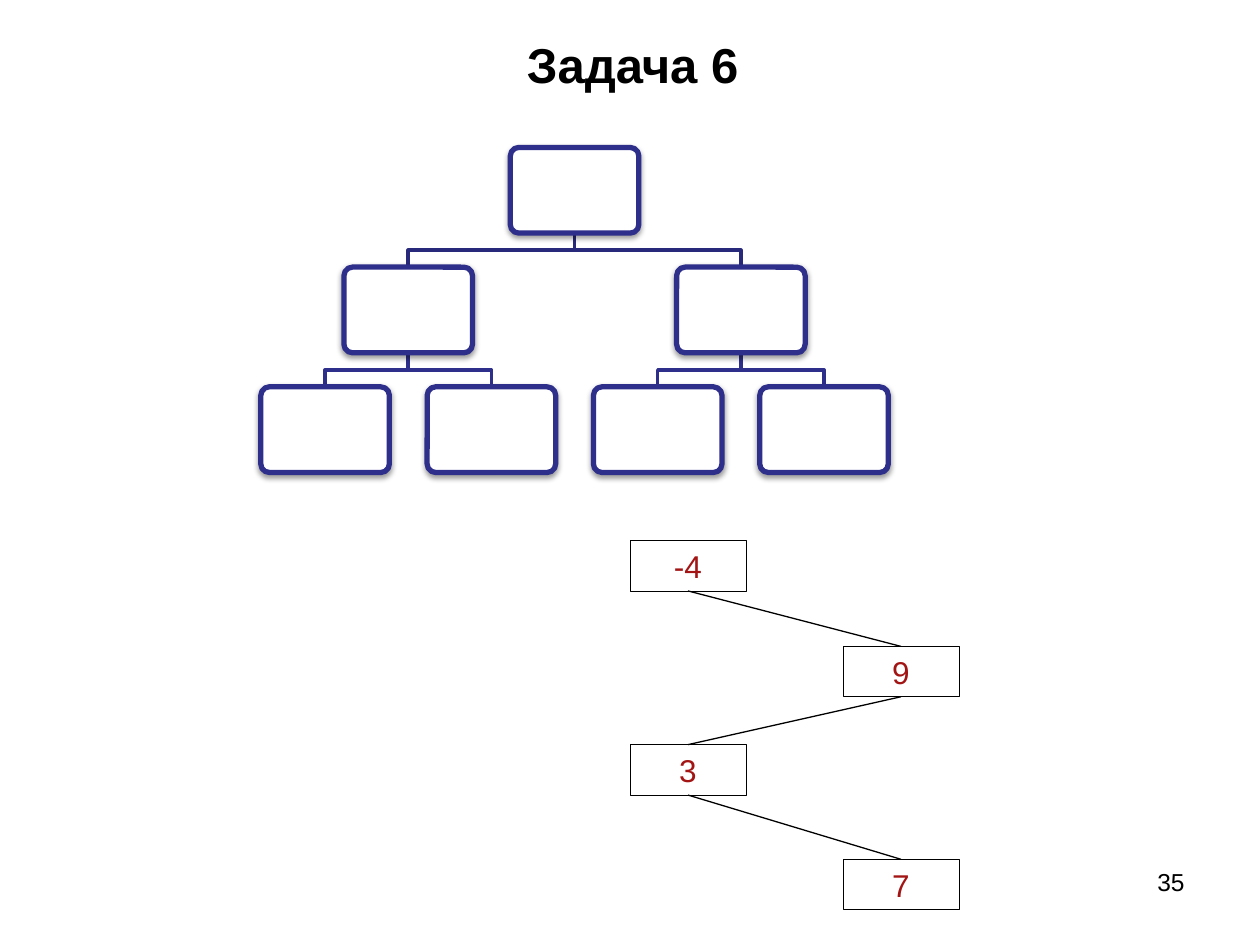
"""Build a task slide with an empty binary tree and a chain of numbers."""
import pptx
import pptx.dml.color
import pptx.enum.shapes
import pptx.enum.text
import pptx.util
from lxml import etree
from pptx.oxml.ns import qn

Inches, Pt = pptx.util.Inches, pptx.util.Pt
SHAPES = pptx.enum.shapes.MSO_SHAPE
ALIGN = pptx.enum.text.PP_ALIGN

TITLE = "Задача 6"
PAGE_NUMBER = "35"
CHAIN = [("-4", 5, 4.29), ("9", 6.69, 5.13), ("3", 5, 5.91), ("7", 6.69, 6.82)]
CHAIN_SIZE = (0.92, 0.4)

LEAVES, LEAF_LEFT, LEAF_STEP = 4, 2.07, 1.32
NODE_WIDTH, NODE_HEIGHT = 1.02, 0.68
TREE_TOP, LEVEL_STEP = 1.17, 0.95
NODE_LINE = "2E2E8B"
BRANCH_LINES = ["29297B", "2E2E8B"]


def color(value):
    return pptx.dml.color.RGBColor.from_string(value)


def set_line(shape, value, width):
    shape.line.color.rgb = color(value)
    shape.line.width = Pt(width)


def write(frame, text, size, value="000000", align=ALIGN.CENTER, bold=False):
    frame.word_wrap = True
    frame.text = text
    para = frame.paragraphs[0]
    para.alignment = align
    para.font.name = "Arial"
    para.font.size = Pt(size)
    para.font.bold = bold
    para.font.color.rgb = color(value)


def add_shadow(shape):
    effects = etree.SubElement(shape._element.spPr, qn("a:effectLst"))
    shadow = etree.SubElement(effects, qn("a:outerShdw"), blurRad=str(Pt(3.1)),
                              dist=str(Pt(1.6)), dir="5400000", rotWithShape="0")
    black = etree.SubElement(shadow, qn("a:srgbClr"), val="000000")
    etree.SubElement(black, qn("a:alpha"), val="38000")


def add_branch(page, parent, child, top, value):
    middle, bottom = top + (LEVEL_STEP - NODE_HEIGHT) / 2, top + LEVEL_STEP - NODE_HEIGHT
    points = [(parent, middle), (child, middle), (child, bottom)]
    builder = page.shapes.build_freeform(Inches(parent), Inches(top))
    builder.add_line_segments([(Inches(x), Inches(y)) for x, y in points], close=False)
    branch = builder.convert_to_shape()
    branch.fill.background()
    branch.shadow.inherit = False
    set_line(branch, value, 2)


def add_node(page, center, top):
    node = page.shapes.add_shape(SHAPES.ROUNDED_RECTANGLE, Inches(center - NODE_WIDTH / 2),
                                 Inches(top), Inches(NODE_WIDTH), Inches(NODE_HEIGHT))
    node.adjustments[0] = 0.1
    node.fill.solid()
    node.fill.fore_color.rgb = color("FFFFFF")
    set_line(node, NODE_LINE, 3)
    add_shadow(node)


def add_tree(page):
    levels = [[LEAF_LEFT + NODE_WIDTH / 2 + LEAF_STEP * i for i in range(LEAVES)]]
    while len(levels[0]) > 1:
        below = levels[0]
        levels.insert(0, [(a + b) / 2 for a, b in zip(below[::2], below[1::2])])
    tops = [TREE_TOP + LEVEL_STEP * depth for depth in range(len(levels))]
    for depth, value in enumerate(BRANCH_LINES):
        for i, child in enumerate(levels[depth + 1]):
            add_branch(page, levels[depth][i // 2], child, tops[depth] + NODE_HEIGHT, value)
    for centers, top in zip(levels, tops):
        for center in centers:
            add_node(page, center, top)


def add_chain(page):
    boxes = []
    for text, left, top in CHAIN:
        box = page.shapes.add_shape(SHAPES.RECTANGLE, Inches(left), Inches(top),
                                    *map(Inches, CHAIN_SIZE))
        box.fill.background()
        box.shadow.inherit = False
        set_line(box, "000000", 0.25)
        write(box.text_frame, text, 18, "A31515")
        box.text_frame.auto_size = pptx.enum.text.MSO_AUTO_SIZE.SHAPE_TO_FIT_TEXT
        boxes.append(box)
    for upper, lower in zip(boxes, boxes[1:]):
        link = page.shapes.add_connector(pptx.enum.shapes.MSO_CONNECTOR.STRAIGHT, 0, 0, 0, 0)
        link.begin_connect(upper, 2)
        link.end_connect(lower, 0)
        set_line(link, "000000", 0.75)
        etree.SubElement(link._element.spPr, qn("a:effectLst"))


def main():
    deck = pptx.Presentation()
    deck.slide_width, deck.slide_height = Inches(10), Inches(7.5)
    page = deck.slides.add_slide(deck.slide_layouts[5])

    title = page.shapes.title
    title.left, title.top = Inches(0.52), Inches(0.17)
    title.width, title.height = Inches(9), Inches(0.67)
    write(title.text_frame, TITLE, 28, bold=True)
    title.text_frame.vertical_anchor = pptx.enum.text.MSO_ANCHOR.MIDDLE

    number = page.shapes.add_textbox(Inches(7.17), Inches(6.83), Inches(2.33), Inches(0.52))
    write(number.text_frame, PAGE_NUMBER, 14, align=ALIGN.RIGHT)

    add_chain(page)
    add_tree(page)
    deck.save("out.pptx")


if __name__ == "__main__":
    main()
